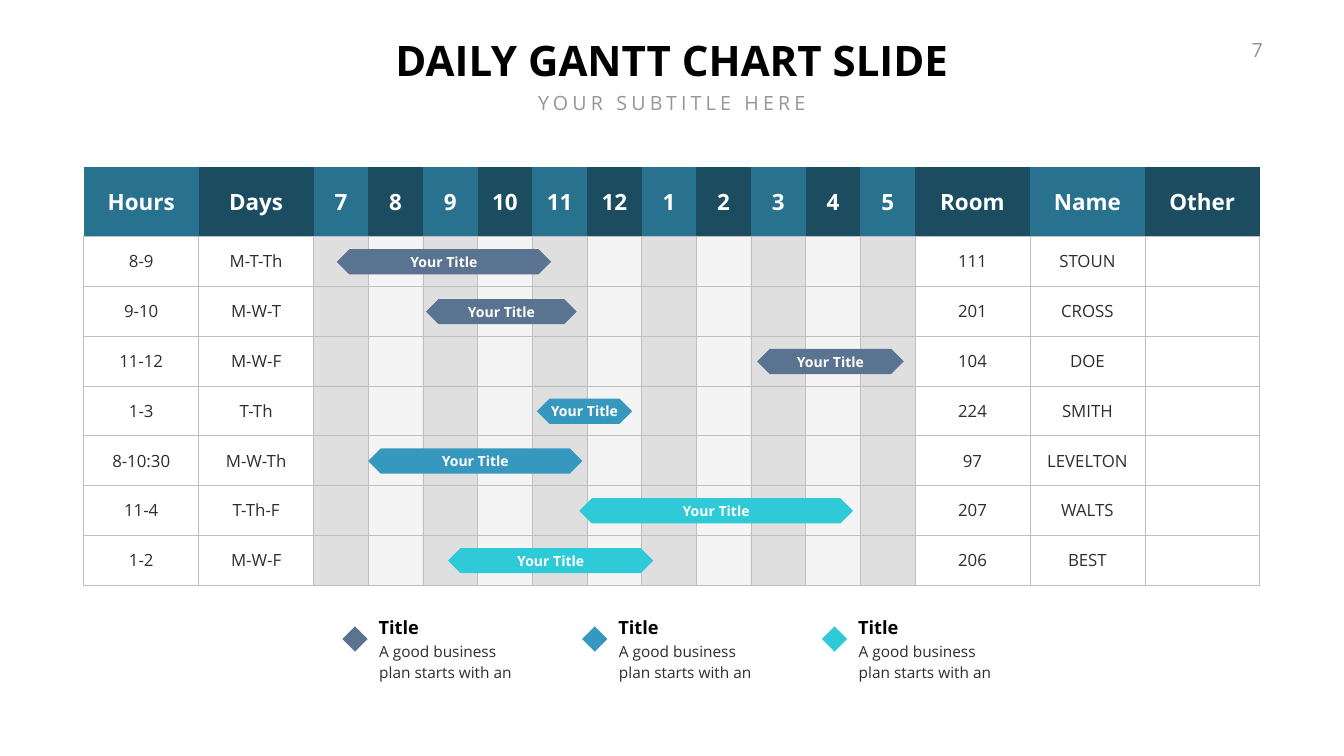
from dataclasses import dataclass

from lxml.etree import SubElement
from pptx import Presentation
from pptx.dml.color import RGBColor
from pptx.enum.shapes import MSO_SHAPE
from pptx.enum.text import MSO_ANCHOR, MSO_AUTO_SIZE, PP_ALIGN
from pptx.oxml import parse_xml
from pptx.oxml.ns import nsdecls, qn
from pptx.util import Cm, Pt


@dataclass(frozen=True)
class Theme:
    """Colours, font and type sizes of the slide."""
    font: str = "Open Sans"
    black: str = "000000"
    white: str = "FFFFFF"
    ink: str = "2D2D2D"
    muted: str = "969696"
    grid: str = "BFBFBF"
    headers: tuple = ("28728F", "1B4C60")
    shades: tuple = (15, 5)
    phases: tuple = ("597390", "3698BF", "2ECAD7")
    title: int = 60
    subtitle: int = 28
    header: int = 32
    cell: int = 24
    bar: int = 20
    legend_title: int = 26
    legend_body: int = 22


THEME = Theme()
HOURS = ["7", "8", "9", "10", "11", "12", "1", "2", "3", "4", "5"]
HEADINGS = ["Hours", "Days", *HOURS, "Room", "Name", "Other"]
CLASSES = [
    ("8-9", "M-T-Th", "111", "STOUN"),
    ("9-10", "M-W-T", "201", "CROSS"),
    ("11-12", "M-W-F", "104", "DOE"),
    ("1-3", "T-Th", "224", "SMITH"),
    ("8-10:30", "M-W-Th", "97", "LEVELTON"),
    ("11-4", "T-Th-F", "207", "WALTS"),
    ("1-2", "M-W-F", "206", "BEST"),
]
BARS = [
    (12.75, 10.8, 0), (17.25, 7.59, 0), (33.93, 7.39, 0), (22.83, 4.8, 1),
    (14.33, 10.8, 1), (24.97, 13.79, 2), (18.36, 10.34, 2),
]
WIDE_COLUMN = 5.79
HEADER_HEIGHT = 3.51


def format_text(para, size, color, bold=False, align=PP_ALIGN.LEFT, tracking=0):
    """Format every run of a paragraph."""
    para.alignment = align
    for span in para.runs:
        span.font.name = THEME.font
        span.font.size = Pt(size)
        span.font.bold = bold
        span.font.color.rgb = RGBColor.from_string(color)
        if tracking:
            span.font._element.set("spc", str(tracking * 100))


def add_text(page, box, text, size, color, wrap=False, anchor=MSO_ANCHOR.TOP, **style):
    """Add a text box and return its paragraph."""
    frame = page.shapes.add_textbox(*map(Cm, box)).text_frame
    frame.text = text
    frame.word_wrap = wrap
    frame.auto_size = MSO_AUTO_SIZE.SHAPE_TO_FIT_TEXT
    frame.vertical_anchor = anchor
    format_text(frame.paragraphs[0], size, color, **style)
    return frame.paragraphs[0]


def add_solid(page, kind, box, color):
    """Add a flat preset shape without an outline."""
    shape = page.shapes.add_shape(kind, *map(Cm, box))
    shape.shadow.inherit = False
    shape.fill.solid()
    shape.fill.fore_color.rgb = RGBColor.from_string(color)
    shape.line.fill.background()
    return shape


def fill_cell(cell, color, opacity=100):
    """Fill a cell, optionally see-through."""
    cell.fill.solid()
    cell.fill.fore_color.rgb = RGBColor.from_string(color)
    if opacity < 100:
        tint = cell._tc.tcPr.find(".//" + qn("a:srgbClr"))
        SubElement(tint, qn("a:alpha")).set("val", str(opacity * 1000))


def border_cell(cell, visible_sides):
    """Draw grid lines on the named sides and clear the others."""
    solid = f'<a:solidFill><a:srgbClr val="{THEME.grid}"/></a:solidFill>'
    for position, side in enumerate("LRTB"):
        paint = solid if side in visible_sides else "<a:noFill/>"
        line = f'<a:ln{side} {nsdecls("a")} w="{Pt(1)}">{paint}</a:ln{side}>'
        cell._tc.get_or_add_tcPr().insert(position, parse_xml(line))


def write_cell(cell, text, size, color, bold=False):
    """Write centred text into a cell."""
    cell.text = text
    cell.vertical_anchor = MSO_ANCHOR.MIDDLE
    cell.margin_top = cell.margin_bottom = Cm(0.25)
    cell.margin_left = cell.margin_right = Cm(0 if bold else 0.28)
    format_text(cell.text_frame.paragraphs[0], size, color, bold, PP_ALIGN.CENTER)


def add_heading(page, box):
    """Place the title with its subtitle below."""
    left, top, width, height = box
    add_text(page, (left, top, width, 2.82), "DAILY GANTT CHART SLIDE", THEME.title,
             THEME.black, bold=True, align=PP_ALIGN.CENTER)
    add_text(page, (left, top + 2.82, width, height - 2.82), "YOUR SUBTITLE HERE",
             THEME.subtitle, THEME.muted, align=PP_ALIGN.CENTER, tracking=6)


def add_page_number(page, box):
    """Place the page number."""
    add_text(page, box, "7", THEME.subtitle, THEME.muted, align=PP_ALIGN.RIGHT, tracking=3)


def add_schedule(page, box):
    """Place the class table with its hour grid."""
    width, height = box[2:]
    table = page.shapes.add_table(len(CLASSES) + 1, len(HEADINGS), *map(Cm, box)).table
    table.first_row = table.horz_banding = False
    hour_width = (width - WIDE_COLUMN * (len(HEADINGS) - len(HOURS))) / len(HOURS)
    for column, heading in zip(table.columns, HEADINGS):
        column.width = Cm(hour_width if heading in HOURS else WIDE_COLUMN)
    for row in table.rows:
        row.height = Cm((height - HEADER_HEIGHT) / len(CLASSES))
    table.rows[0].height = Cm(HEADER_HEIGHT)

    for index, heading in enumerate(HEADINGS):
        cell = table.cell(0, index)
        write_cell(cell, heading, THEME.header, THEME.white, bold=True)
        fill_cell(cell, THEME.headers[index % 2])
        border_cell(cell, "B")
    for number, (hours, days, room, name) in enumerate(CLASSES, 1):
        texts = {"Hours": hours, "Days": days, "Room": room, "Name": name}
        for index, heading in enumerate(HEADINGS):
            cell = table.cell(number, index)
            if heading in texts:
                write_cell(cell, texts[heading], THEME.cell, THEME.ink)
            if heading in HOURS:
                fill_cell(cell, THEME.ink, THEME.shades[index % 2])
            else:
                fill_cell(cell, THEME.white)
            border_cell(cell, "LRTB")


def add_bars(page, box):
    """Place one labelled bar on each row of the schedule."""
    left, top, _, height = box
    row_height = (height - HEADER_HEIGHT) / len(BARS)
    label_width = 3.91
    for row, (start, length, phase) in enumerate(BARS):
        bar_left = left + start
        bar_top = top + HEADER_HEIGHT + row * row_height + 0.64
        bar = add_solid(page, MSO_SHAPE.SNIP_2_DIAG_RECTANGLE,
                        (bar_left, bar_top, length, 1.27), THEME.phases[phase])
        bar.adjustments[0] = bar.adjustments[1] = 0.5
        label_left = bar_left + (length - label_width) / 2
        add_text(page, (label_left, bar_top + 0.08, label_width, 1.12), "Your Title",
                 THEME.bar, THEME.white, anchor=MSO_ANCHOR.MIDDLE, bold=True,
                 align=PP_ALIGN.CENTER)


def add_legend(page, box):
    """Place the legend entries at equal steps across the box."""
    left, top, width, _ = box
    step = width / len(THEME.phases)
    for index, color in enumerate(THEME.phases):
        x = left + index * step
        add_solid(page, MSO_SHAPE.DIAMOND, (x, top + 0.66, 1.27, 1.27), color)
        add_text(page, (x + 1.58, top, 2.57, 1.37), "Title", THEME.legend_title,
                 THEME.black, anchor=MSO_ANCHOR.MIDDLE, bold=True)
        para = add_text(page, (x + 1.61, top + 1.22, 7.47, 2.31),
                        "A good business plan starts with an",
                        THEME.legend_body, THEME.ink, wrap=True)
        para.line_spacing = Pt(30)
        para.space_before = Pt(4)


def main():
    """Build the slide and save the deck."""
    deck = Presentation()
    deck.slide_width, deck.slide_height = Cm(67.72), Cm(38.1)
    page = deck.slides.add_slide(deck.slide_layouts[6])
    schedule_box = (4.22, 8.41, 59.26, 21.08)
    add_page_number(page, (61.8, 1.78, 2.08, 1.45))
    add_schedule(page, schedule_box)
    add_heading(page, (19.53, 1.63, 28.65, 4.27))
    add_legend(page, (17.25, 30.91, 36.24, 3.53))
    add_bars(page, schedule_box)
    deck.save("out.pptx")


if __name__ == "__main__":
    main()
